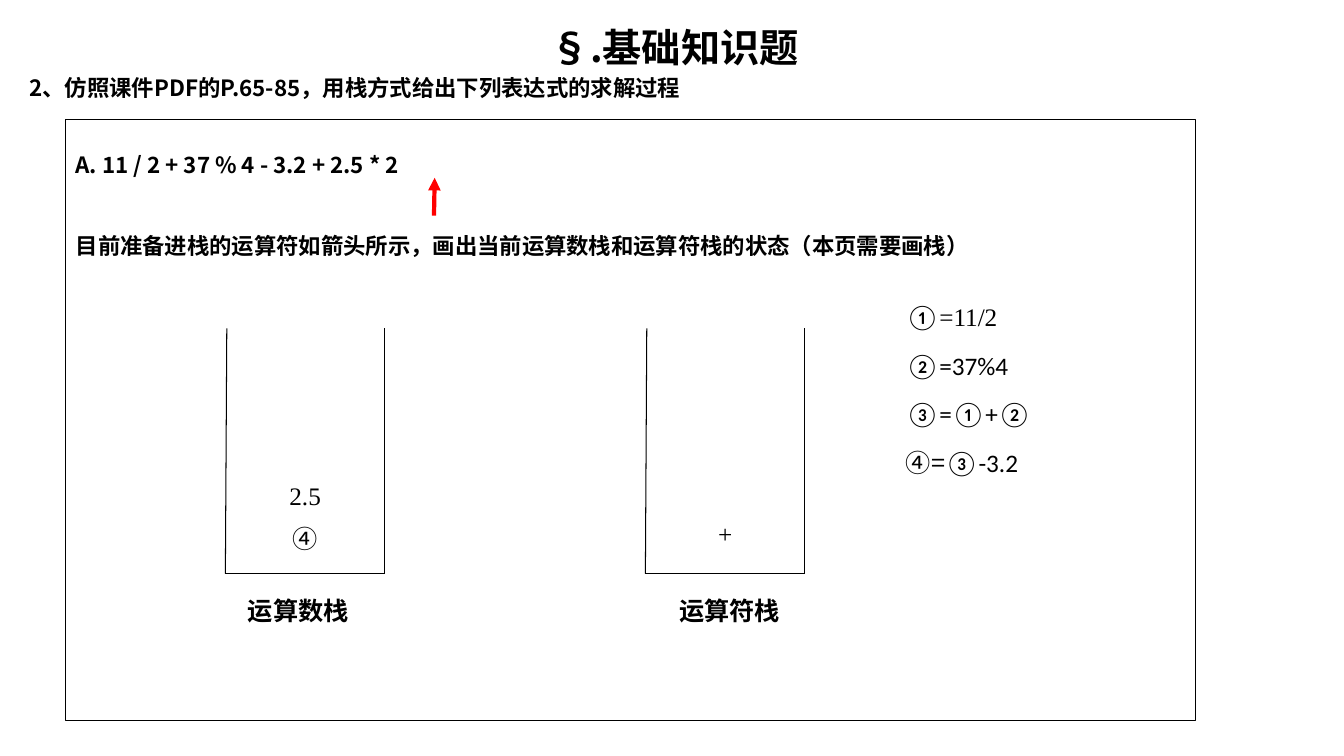
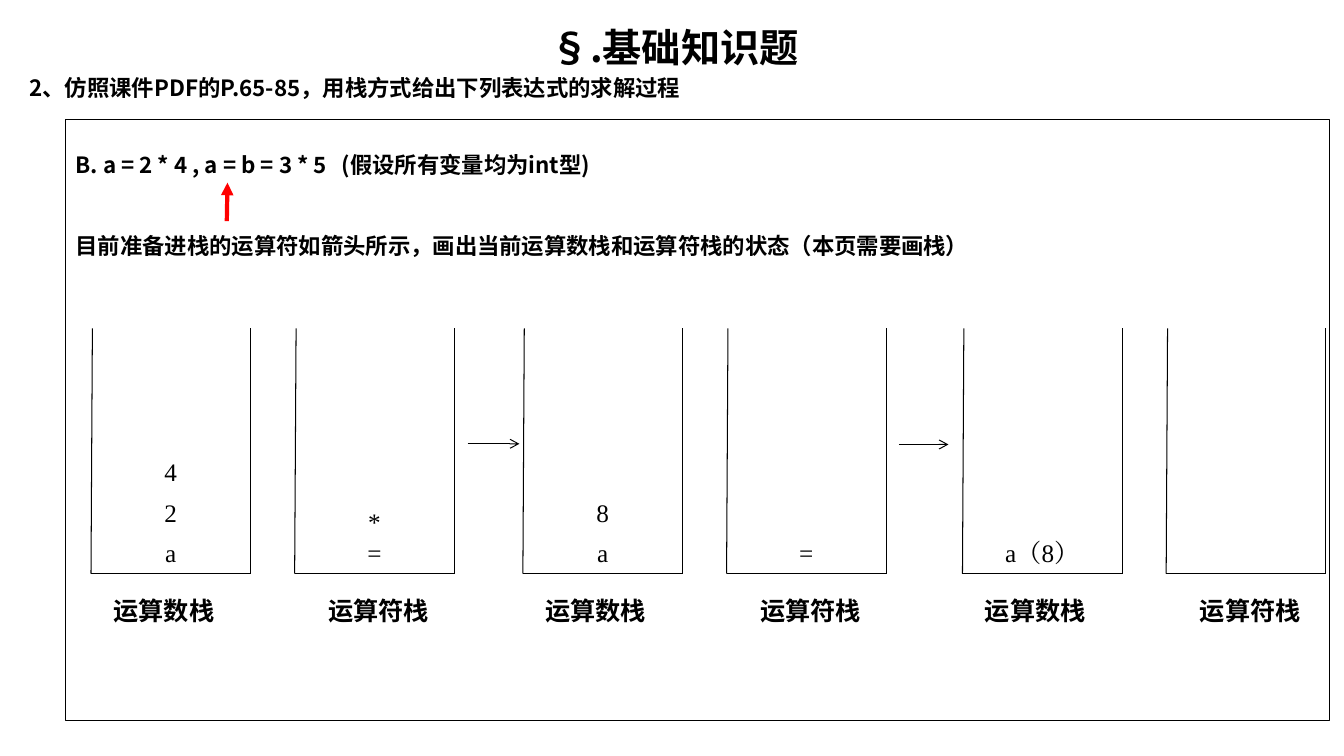
from lxml import etree
from pptx import Presentation
from pptx.dml.color import RGBColor
from pptx.enum.shapes import MSO_CONNECTOR, MSO_SHAPE
from pptx.enum.text import MSO_ANCHOR, PP_ALIGN
from pptx.oxml.ns import qn
from pptx.util import Pt

LEFT, CENTER = PP_ALIGN.LEFT, PP_ALIGN.CENTER
TOP = MSO_ANCHOR.TOP
RECTANGLE = MSO_SHAPE.RECTANGLE
STRAIGHT = MSO_CONNECTOR.STRAIGHT

HAN, SANS, SERIF = "Noto Sans CJK SC", "Calibri", "Times New Roman"
THEME = {
    "ink": RGBColor(0, 0, 0),
    "pointer": RGBColor(255, 0, 0),
    "thin": 0.75,
    "thick": 3,
    "title": {"name": HAN, "size": Pt(28), "bold": True},
    "body": {"name": HAN, "size": Pt(16), "bold": True},
    "label": {"name": HAN, "size": Pt(18), "bold": True},
    "han": {"name": HAN, "size": Pt(18)},
    "sans": {"name": SANS, "size": Pt(18)},
    "serif": {"name": SERIF, "size": Pt(18)},
}

TITLE = "§.基础知识题"
QUESTION = "2、仿照课件PDF的P.65-85，用栈方式给出下列表达式的求解过程"
TASK = "目前准备进栈的运算符如箭头所示，画出当前运算数栈和运算符栈的状态（本页需要画栈）"
OPERANDS, OPERATORS = "运算数栈", "运算符栈"
LABEL_INDENT = {OPERANDS: 9, OPERATORS: 17}
STACK_WIDTH, STACK_TOP, STACK_BOTTOM = 114, 234.5, 409.7
ITEM_WIDTH, ITEM_HEIGHT = 100, 29
ROW_3, ROW_2, ROW_1 = 322.5, 351.5, 380.5
PAIR_LEFTS = [65, 373.5, 687.5]
PAIR_OFFSET = 145.5

SLIDES = [
    {
        "expression": "A. 11 / 2 + 37 % 4 - 3.2 + 2.5 * 2",
        "frame_width": 807,
        "pointer": (310, 154, 310.5, 127),
        "stacks": [
            (161, OPERANDS, [("2.5", "serif", 339.5), ("④", "han", 370)]),
            (461, OPERATORS, [("+", "serif", 366.5)]),
        ],
        "steps": [],
        "results": [
            [("①", "sans"), ("=11/2", "serif")],
            [("②=37%4", "sans")],
            [("③=①+②", "sans")],
            [("④=", "han"), ("③-3.2", "sans")],
        ],
    },
    {
        "expression": "B. a = 2 * 4 , a = b = 3 * 5\t(假设所有变量均为int型)",
        "frame_width": 903,
        "pointer": (162, 158, 162.5, 130.5),
        "stacks": [
            (PAIR_LEFTS[0], OPERANDS,
             [("4", "serif", ROW_3), ("2", "serif", ROW_2), ("a", "serif", ROW_1)]),
            (PAIR_LEFTS[0] + PAIR_OFFSET, OPERATORS,
             [("*", "serif", 358), ("=", "serif", ROW_1)]),
            (PAIR_LEFTS[1], OPERANDS, [("8", "serif", ROW_2), ("a", "serif", ROW_1)]),
            (PAIR_LEFTS[1] + PAIR_OFFSET, OPERATORS, [("=", "serif", ROW_1)]),
            (PAIR_LEFTS[2], OPERANDS, [("a（8）", "serif", ROW_1)]),
            (PAIR_LEFTS[2] + PAIR_OFFSET, OPERATORS, []),
        ],
        "steps": [(334, 317, 371, 317), (642, 317.5, 677.5, 317.5)],
        "results": [],
    },
]


def write(paragraph, runs, align=LEFT):
    paragraph.alignment = align
    for text, style in runs:
        run = paragraph.add_run()
        run.text = text
        for attribute, value in THEME[style].items():
            setattr(run.font, attribute, value)
        run.font.color.rgb = THEME["ink"]
        east_asian = etree.SubElement(run.font._element, qn("a:ea"))
        east_asian.set("typeface", THEME[style]["name"])


def draw_line(slide, ends, color="ink", weight="thin", head=None):
    line = slide.shapes.add_connector(STRAIGHT, *map(Pt, ends))
    line.line.color.rgb = THEME[color]
    line.line.width = Pt(THEME[weight])
    if head:
        etree.SubElement(line.line._get_or_add_ln(), qn("a:tailEnd")).set("type", head)
    etree.SubElement(line._element.spPr, qn("a:effectLst"))


prs = Presentation()
prs.slide_width, prs.slide_height = Pt(960), Pt(540)

for content in SLIDES:
    slide = prs.slides.add_slide(prs.slide_layouts[6])

    heading = slide.shapes.add_textbox(Pt(14), Pt(13), Pt(936), Pt(68)).text_frame
    heading.word_wrap = True
    write(heading.paragraphs[0], [(TITLE, "title")], CENTER)
    question = heading.add_paragraph()
    question.line_spacing = 0.92
    question.space_before = Pt(5)
    write(question, [(QUESTION, "body")])

    frame = slide.shapes.add_shape(
        RECTANGLE, Pt(47), Pt(85.5), Pt(content["frame_width"]), Pt(429))
    frame.shadow.inherit = False
    frame.fill.background()
    frame.line.color.rgb = THEME["ink"]
    frame.line.width = Pt(THEME["thin"])
    exercise = frame.text_frame
    exercise.word_wrap = True
    exercise.vertical_anchor = TOP
    exercise.margin_top = Pt(22.5)
    expression = exercise.paragraphs[0]
    expression.space_after = Pt(38.5)
    write(expression, [(content["expression"], "body")])
    if "\t" in content["expression"]:
        stops = etree.SubElement(expression._p.get_or_add_pPr(), qn("a:tabLst"))
        stop = etree.SubElement(stops, qn("a:tab"))
        stop.set("pos", str(Pt(190)))
        stop.set("algn", "l")
    write(exercise.add_paragraph(), [(TASK, "body")])

    draw_line(slide, content["pointer"], "pointer", "thick", "triangle")
    for step in content["steps"]:
        draw_line(slide, step, head="arrow")

    notes = []
    for left, label, items in content["stacks"]:
        right = left + STACK_WIDTH
        draw_line(slide, (left, STACK_BOTTOM, right, STACK_BOTTOM))
        draw_line(slide, (left + 1, STACK_TOP, left, STACK_BOTTOM))
        draw_line(slide, (right, STACK_TOP, right, STACK_BOTTOM))
        notes.append((left + LABEL_INDENT[label], 422, 105, [(label, "label")], LEFT))
        item_left = left + (STACK_WIDTH - ITEM_WIDTH) / 2
        for text, style, top in items:
            notes.append((item_left, top, ITEM_WIDTH, [(text, style)], CENTER))
    for index, runs in enumerate(content["results"]):
        notes.append((640, 211.7 + index * 34.8, 164, runs, LEFT))

    for left, top, width, runs, align in notes:
        note = slide.shapes.add_textbox(Pt(left), Pt(top), Pt(width), Pt(ITEM_HEIGHT))
        note.text_frame.word_wrap = True
        write(note.text_frame.paragraphs[0], runs, align)

prs.save("out.pptx")
